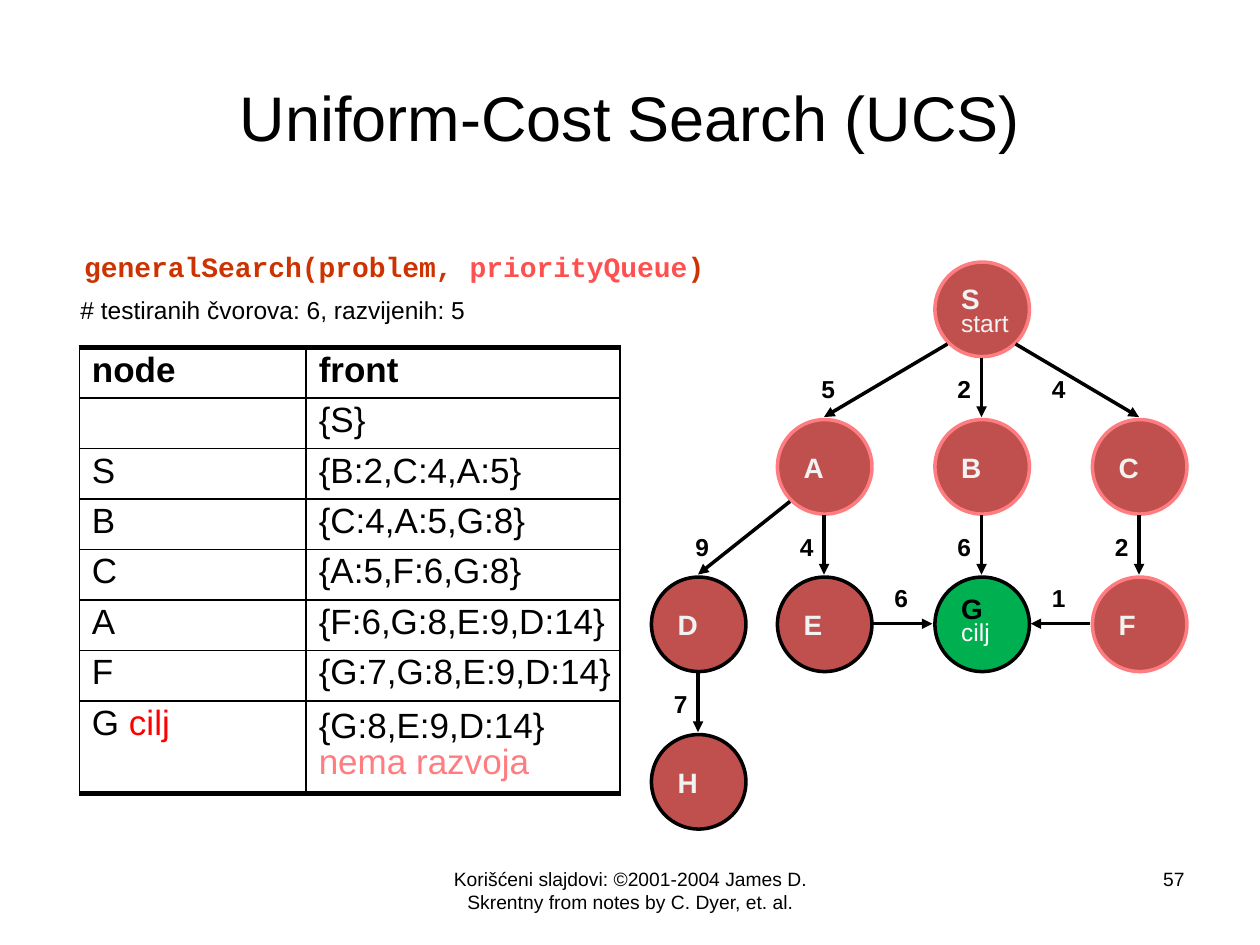
from typing import NamedTuple

from lxml import etree
from pptx import Presentation
from pptx.dml.color import RGBColor
from pptx.enum.shapes import MSO_CONNECTOR, MSO_SHAPE
from pptx.enum.text import MSO_ANCHOR, PP_ALIGN
from pptx.oxml.ns import qn
from pptx.util import Pt

PX = 9144  # EMU per px, 100 px to the inch
STRAIGHT, ELLIPSE = MSO_CONNECTOR.STRAIGHT, MSO_SHAPE.OVAL
TOP, MIDDLE = MSO_ANCHOR.TOP, MSO_ANCHOR.MIDDLE
LEFT, CENTER, RIGHT = PP_ALIGN.LEFT, PP_ALIGN.CENTER, PP_ALIGN.RIGHT

BLACK, WHITE, PALE = "000000", "FFFFFF", "F2F2F2"
RED, PINK, GREEN = "C0504D", "FF7C80", "00B050"
CODE_RED, CODE_PINK, GOAL_RED = "CC3300", "FF5050", "FF0000"

DIAMETER = 75
REACH = 39  # centre of a node to the end of a straight arrow
SLANT = (27, 28)  # centre of a node to the start of a slanted arrow


class Run(NamedTuple):
    text: str
    size: int
    color: str = BLACK
    bold: bool = False
    font: str = "Arial"


class Para(NamedTuple):
    runs: list[Run]
    spacing: float | None = None


class Label(NamedTuple):
    box: tuple[int, int, int, int]
    runs: list[Run]
    align: PP_ALIGN = LEFT
    wrap: bool = True
    anchor: MSO_ANCHOR = TOP


class Node(NamedTuple):
    x: int
    y: int
    paras: list[Para]
    line: str = BLACK
    fill: str = RED


class Edge(NamedTuple):
    start: str
    end: str
    cost: str
    cost_left: int
    cost_top: int


def code(text: str, color: str) -> Run:
    return Run(text, 16, color, True, "Courier New")


def letter(text: str) -> list[Para]:
    return [Para([Run(text, 16, PALE, True)])]


def cell_line(text: str, color: str = BLACK, bold: bool = False) -> list[Para]:
    return [Para([Run(text, 20, color, bold)], 0.9)]


COL_D, COL_A, COL_S, COL_C = 554, 654, 779, 904
ROW_1, ROW_2, ROW_3, ROW_4 = range(245, 621, 125)

LABELS = [
    Label((50, 30, 900, 125), [Run("Uniform-Cost Search (UCS)", 36)], CENTER, anchor=MIDDLE),
    Label((57, 193, 513, 36), [code("generalSearch(problem, ", CODE_RED),
                               code("priorityQueue", CODE_PINK),
                               code(")", CODE_RED)], wrap=False),
    Label((54, 229, 327, 33), [Run("# testiranih čvorova: 6, razvijenih: 5", 14)], wrap=False),
    Label((342, 683, 317, 52), [Run("Korišćeni slajdovi: ©2001-2004 James D. "
                                    "Skrentny from notes by C. Dyer, et. al.", 11)], CENTER),
    Label((717, 683, 233, 52), [Run("57", 11)], RIGHT),
]

NODES = {
    "S": Node(COL_S, ROW_1, letter("S") + [Para([Run("start", 14, PALE)], 0.75)], PINK),
    "A": Node(COL_A, ROW_2, letter("A"), PINK),
    "B": Node(COL_S, ROW_2, letter("B"), PINK),
    "C": Node(COL_C, ROW_2, letter("C"), PINK),
    "D": Node(COL_D, ROW_3, letter("D")),
    "E": Node(COL_A, ROW_3, letter("E")),
    "G": Node(COL_S, ROW_3, [Para([Run("G", 16, BLACK, True)], 0.65),
                             Para([Run("cilj", 14, WHITE)], 0.75)], fill=GREEN),
    "F": Node(COL_C, ROW_3, letter("F"), PINK),
    "H": Node(COL_D, ROW_4, letter("H")),
}

EDGES = [
    Edge("S", "A", "5", 642, 292),
    Edge("S", "B", "2", 750, 292),
    Edge("S", "C", "4", 825, 292),
    Edge("A", "D", "9", 542, 417),
    Edge("A", "E", "4", 625, 417),
    Edge("B", "G", "6", 750, 417),
    Edge("C", "F", "2", 875, 417),
    Edge("E", "G", "6", 700, 458),
    Edge("F", "G", "1", 825, 458),
    Edge("D", "H", "7", 525, 542),
]

STEPS = [("", "{S}"), ("S", "{B:2,C:4,A:5}"), ("B", "{C:4,A:5,G:8}"), ("C", "{A:5,F:6,G:8}"),
         ("A", "{F:6,G:8,E:9,D:14}"), ("F", "{G:7,G:8,E:9,D:14}")]
ROWS = [
    (cell_line("node", bold=True), cell_line("front", bold=True)),
    *((cell_line(node), cell_line(front)) for node, front in STEPS),
    ([Para([Run("G ", 20), Run("cilj", 20, GOAL_RED)], 0.9)],
     [Para([Run("{G:8,E:9,D:14}", 20)])] + cell_line("nema razvoja", PINK)),
]


def rgb(color: str) -> RGBColor:
    return RGBColor.from_string(color)


def px(*values: int) -> list[int]:
    return [value * PX for value in values]


def write(tf, paras: list[Para], align: PP_ALIGN = LEFT) -> None:
    for i, para in enumerate(paras):
        p = tf.add_paragraph() if i else tf.paragraphs[0]
        p.alignment, p.line_spacing = align, para.spacing
        for run in para.runs:
            r = p.add_run()
            r.text = run.text
            style = {"name": run.font, "size": Pt(run.size), "bold": run.bold}
            for key, value in style.items():
                setattr(r.font, key, value)
            r.font.color.rgb = rgb(run.color)


def add_label(s, label: Label) -> None:
    tf = s.shapes.add_textbox(*px(*label.box)).text_frame
    tf.word_wrap, tf.vertical_anchor = label.wrap, label.anchor
    write(tf, [Para(label.runs)], label.align)


def add_node(s, node: Node) -> None:
    half = DIAMETER // 2
    sp = s.shapes.add_shape(ELLIPSE, *px(node.x - half, node.y - half, DIAMETER, DIAMETER))
    sp.shadow.inherit = False
    sp.fill.solid()
    sp.fill.fore_color.rgb = rgb(node.fill)
    sp.line.color.rgb, sp.line.width = rgb(node.line), Pt(2)
    sp.text_frame.word_wrap, sp.text_frame.vertical_anchor = False, MIDDLE
    write(sp.text_frame, node.paras)


def add_edge(s, edge: Edge) -> None:
    a, b = NODES[edge.start], NODES[edge.end]
    side = (b.x > a.x) - (b.x < a.x)
    if a.y == b.y:
        ends = a.x + side * REACH, a.y, b.x - side * REACH, b.y
    elif side:
        ends = a.x + side * SLANT[0], a.y + SLANT[1], b.x, b.y - REACH
    else:
        ends = a.x, a.y + REACH, b.x, b.y - REACH
    sp = s.shapes.add_connector(STRAIGHT, *px(*ends))
    sp.line.color.rgb, sp.line.width = rgb(BLACK), Pt(2)
    etree.SubElement(sp.line._get_or_add_ln(), qn("a:tailEnd"), type="triangle")
    etree.SubElement(sp._element.spPr, qn("a:effectLst"))
    cost = Run(edge.cost, 14, bold=True)
    add_label(s, Label((edge.cost_left, edge.cost_top, 31, 33), [cost], wrap=False))


def add_border(cell, sides: dict[str, float]) -> None:
    tc_pr = cell._tc.get_or_add_tcPr()
    for side, width in sides.items():
        ln = etree.SubElement(tc_pr, qn(f"a:ln{side}"), w=str(Pt(width)))
        fill = etree.SubElement(ln, qn("a:solidFill"))
        etree.SubElement(fill, qn("a:srgbClr"), val=BLACK)


def add_front_table(s) -> None:
    table = s.shapes.add_table(len(ROWS), 2, *px(63, 276, 429, 301)).table
    table.first_row = table.horz_banding = False
    for column, width in zip(table.columns, px(180, 249)):
        column.width = width
    last = len(ROWS) - 1
    for i, row in enumerate(ROWS):
        table.rows[i].height = (63 if i == last else 34) * PX
        for j, paras in enumerate(row):
            cell = table.cell(i, j)
            cell.margin_right = 2 * PX
            add_border(cell, {"L": 0.96, "R": 0.96, "T": 0.96 if i else 3,
                              "B": 3 if i == last else 0.96})
            cell.fill.background()
            write(cell.text_frame, paras)


def main() -> None:
    prs = Presentation()
    prs.slide_width, prs.slide_height = px(1000, 750)
    s = prs.slides.add_slide(prs.slide_layouts[6])
    for label in LABELS:
        add_label(s, label)
    add_front_table(s)
    for node in NODES.values():
        add_node(s, node)
    for edge in EDGES:
        add_edge(s, edge)
    prs.save("out.pptx")


if __name__ == "__main__":
    main()
